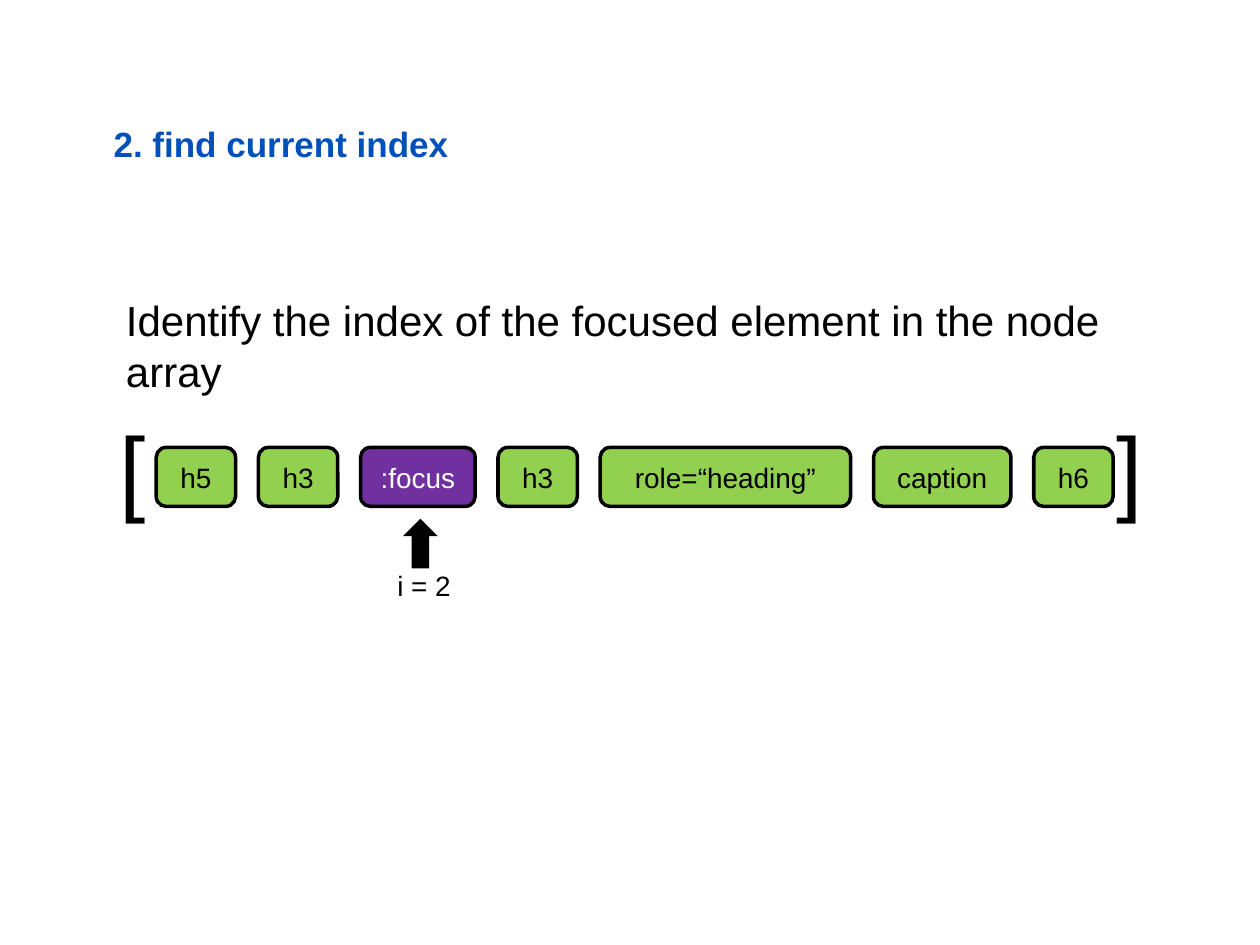
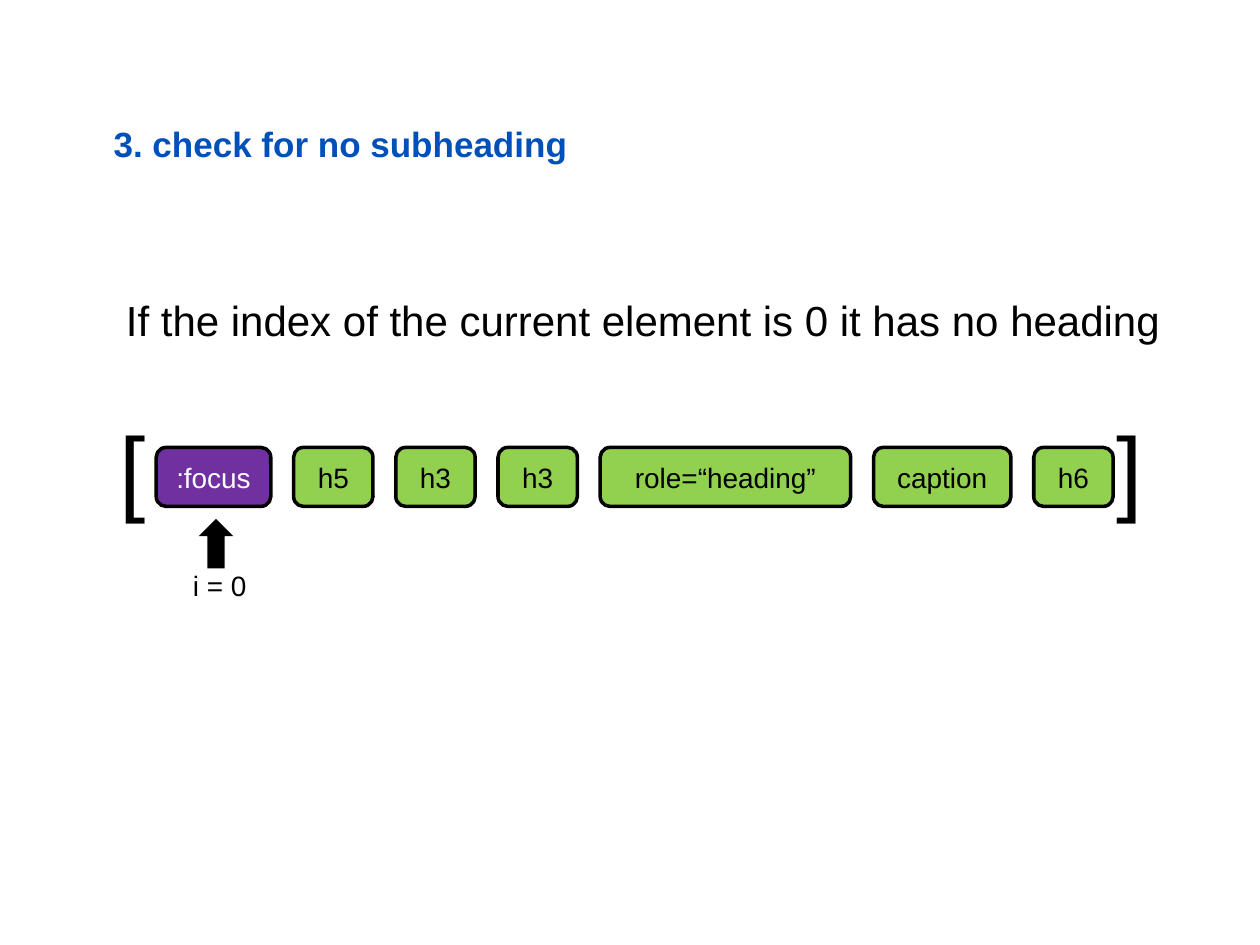
from dataclasses import dataclass

from pptx import Presentation
from pptx.dml.color import RGBColor
from pptx.enum.shapes import MSO_SHAPE
from pptx.enum.text import MSO_ANCHOR, MSO_AUTO_SIZE, PP_ALIGN
from pptx.util import Cm, Pt

ROUNDED = MSO_SHAPE.ROUNDED_RECTANGLE
UP_ARROW = MSO_SHAPE.UP_ARROW
MIDDLE = MSO_ANCHOR.MIDDLE
GROW = MSO_AUTO_SIZE.SHAPE_TO_FIT_TEXT
LEFT, CENTER = PP_ALIGN.LEFT, PP_ALIGN.CENTER


@dataclass(frozen=True)
class Theme:
    font: str = "Arial"
    title_color: RGBColor = RGBColor(0x00, 0x50, 0xB9)
    ink: RGBColor = RGBColor(0x00, 0x00, 0x00)
    paper: RGBColor = RGBColor(0xFF, 0xFF, 0xFF)
    node_fill: RGBColor = RGBColor(0x92, 0xD0, 0x50)
    focus_fill: RGBColor = RGBColor(0x70, 0x30, 0xA0)
    title_size: int = 20
    body_size: int = 24
    node_size: int = 16
    bracket_size: int = 54
    outline: int = 2


THEME = Theme()

FOCUS = ":focus"
HEADING_WIDTH = 1.6
NODE_WIDTHS = {FOCUS: 2.31, "role=“heading”": 5.05, "caption": 2.77}
ROW_LEFT, ROW_TOP, NODE_HEIGHT, NODE_GAP = 3.15, 9.02, 1.19, 0.46
BRACKETS = {"[": 2.16, "]": 22.25}

STEPS = [
    ("2. find current index",
     "Identify the index of the focused element in the node array", 21.23,
     ["h5", "h3", FOCUS, "h3", "role=“heading”", "caption", "h6"]),
    ("3. check for no subheading",
     "If the index of the current element is 0 it has no heading", 21.82,
     [FOCUS, "h5", "h3", "h3", "role=“heading”", "caption", "h6"]),
]


def write(frame, text, size, color=THEME.ink, align=LEFT, bold=False):
    paragraph = frame.paragraphs[0]
    paragraph.text = text
    paragraph.alignment = align
    font = paragraph.font
    font.name, font.size, font.bold = THEME.font, Pt(size), bold
    font.color.rgb = color


def add_text(slide, text, left, top, width, height, size, wrap=True, **style):
    box = slide.shapes.add_textbox(Cm(left), Cm(top), Cm(width), Cm(height))
    frame = box.text_frame
    frame.word_wrap = wrap
    frame.auto_size = GROW
    write(frame, text, size, **style)
    return frame


def add_filled(slide, preset, left, top, width, height, color):
    shape = slide.shapes.add_shape(preset, Cm(left), Cm(top), Cm(width), Cm(height))
    shape.shadow.inherit = False
    shape.fill.solid()
    shape.fill.fore_color.rgb = color
    return shape


def add_title(slide, title):
    frame = add_text(slide, title, 2.29, 2.46, 22.35, 2.54, THEME.title_size,
                     color=THEME.title_color, bold=True)
    frame.auto_size = MSO_AUTO_SIZE.NONE
    frame.margin_left = frame.margin_right = 0
    frame.margin_top = frame.margin_bottom = 0


def add_node(slide, label, left, width):
    focused = label == FOCUS
    node = add_filled(slide, ROUNDED, left, ROW_TOP, width, NODE_HEIGHT,
                      THEME.focus_fill if focused else THEME.node_fill)
    node.line.color.rgb = THEME.ink
    node.line.width = Pt(THEME.outline)
    node.text_frame.vertical_anchor = MIDDLE
    node.text_frame.word_wrap = True
    write(node.text_frame, label, THEME.node_size,
          THEME.paper if focused else THEME.ink, CENTER)


def add_index_pointer(slide, index, center):
    arrow = add_filled(slide, UP_ARROW, center - 0.3, 10.46, 0.7, 1, THEME.ink)
    arrow.line.fill.background()
    add_text(slide, f"i = {index}", center - 1.08, 11.33, 2.41, 0.94,
             THEME.node_size, align=CENTER)


def add_node_array(slide, labels):
    for bracket, left in BRACKETS.items():
        add_text(slide, bracket, left, 8.15, 1.14, 2.57, THEME.bracket_size, wrap=False)
    left = ROW_LEFT
    for index, label in enumerate(labels):
        width = NODE_WIDTHS.get(label, HEADING_WIDTH)
        add_node(slide, label, left, width)
        if label == FOCUS:
            add_index_pointer(slide, index, left + width / 2)
        left += width + NODE_GAP


def main():
    deck = Presentation()
    deck.slide_width, deck.slide_height = Cm(25.4), Cm(19.05)
    blank = deck.slide_layouts[6]
    for title, explanation, width, labels in STEPS:
        slide = deck.slides.add_slide(blank)
        add_title(slide, title)
        add_text(slide, explanation, 2.29, 5.82, width, 1.27, THEME.body_size)
        add_node_array(slide, labels)
    deck.save("out.pptx")


if __name__ == "__main__":
    main()
